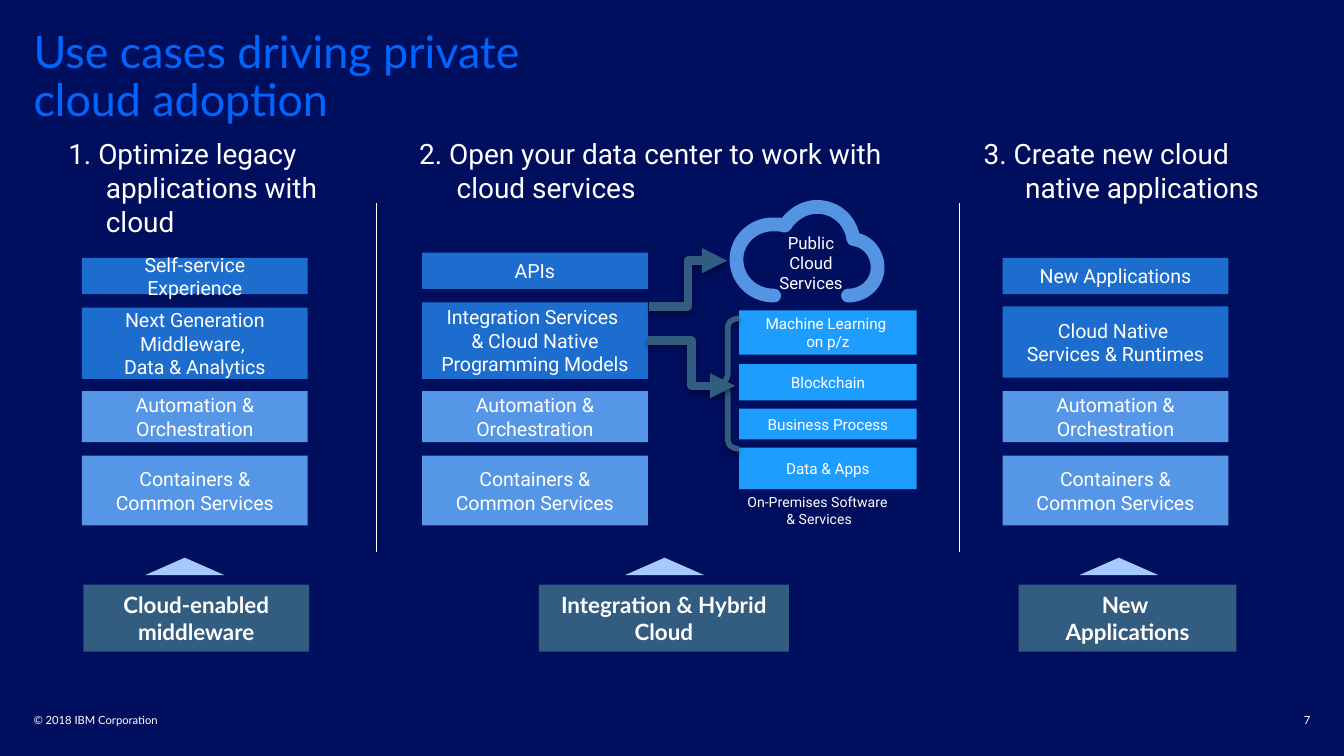
"""Build a slide on three use cases that drive private cloud adoption."""
from lxml import etree
from pptx import Presentation
from pptx.dml.color import RGBColor
from pptx.enum.shapes import MSO_CONNECTOR, MSO_SHAPE
from pptx.enum.text import MSO_ANCHOR, PP_ALIGN
from pptx.oxml import parse_xml
from pptx.oxml.ns import nsdecls, qn
from pptx.util import Inches, Pt

RECT, TRIANGLE = MSO_SHAPE.RECTANGLE, MSO_SHAPE.ISOSCELES_TRIANGLE
CLOUD, BRACE = MSO_SHAPE.CLOUD, MSO_SHAPE.LEFT_BRACE
STRAIGHT, ELBOW = MSO_CONNECTOR.STRAIGHT, MSO_CONNECTOR.ELBOW
TOP, MIDDLE = MSO_ANCHOR.TOP, MSO_ANCHOR.MIDDLE
LEFT, CENTER, RIGHT = PP_ALIGN.LEFT, PP_ALIGN.CENTER, PP_ALIGN.RIGHT

NAVY = RGBColor(0x00, 0x0E, 0x5E)
TITLE_BLUE = RGBColor(0x00, 0x64, 0xFF)
WHITE = RGBColor(0xFF, 0xFF, 0xFF)
MID_BLUE = RGBColor(0x1D, 0x6D, 0xCE)
SOFT_BLUE = RGBColor(0x55, 0x96, 0xE6)
BRIGHT_BLUE = RGBColor(0x1D, 0x9E, 0xFF)
PALE_BLUE = RGBColor(0xA5, 0xCA, 0xFF)
CLOUD_BLUE = RGBColor(0x54, 0x94, 0xE3)
SLATE = RGBColor(0x32, 0x5C, 0x80)

TITLE = "Use cases driving private cloud adoption"
HEADINGS = [
    ("1. Optimize legacy applications with cloud", (0.41, 0.97, 2.23, 0.86), 0.28),
    ("2. Open your data center to work with cloud services", (3.02, 0.97, 3.77, 0.61), 0.28),
    ("3. Create new cloud native applications", (7.22, 0.97, 2.45, 0.61), 0.31),
]
CARD_W = 1.68
STACKS = [
    (0.61, [("Self-service Experience", 1.92, 0.27),
            ("Next Generation Middleware, \vData & Analytics", 2.29, 0.53)]),
    (3.14, [("APIs", 1.88, 0.27),
            ("Integration Services \v& Cloud Native Programming Models", 2.25, 0.57)]),
    (7.46, [("New Applications", 1.92, 0.27),
            ("Cloud Native \vServices & Runtimes", 2.28, 0.53)]),
]
SHARED_CARDS = [("Automation & Orchestration", 2.91, 0.38),
                ("Containers &\nCommon Services", 3.39, 0.52)]
SERVICES = [("Machine Learning \von p/z", 2.31, 0.33), ("Blockchain", 2.71, 0.27),
            ("Business Process", 3.04, 0.23), ("Data & Apps", 3.33, 0.31)]
OUTCOMES = [("Cloud-enabled middleware", 0.62, 1.68, 1.08),
            ("Integration & Hybrid Cloud", 4.01, 1.86, 4.65),
            ("New \nApplications", 7.58, 1.62, 8.03)]
DIVIDERS = [2.8, 7.14]
CLOUD_START = (5.76, 2.2)
CLOUD_CURVES = [
    [(5.6, 2.2), (5.48, 2.08), (5.48, 1.93)], [(5.48, 1.79), (5.6, 1.67), (5.75, 1.67)],
    [(5.78, 1.67), (5.81, 1.67), (5.84, 1.68)], [(5.89, 1.6), (5.98, 1.54), (6.08, 1.54)],
    [(6.22, 1.54), (6.33, 1.64), (6.35, 1.78)], [(6.45, 1.79), (6.53, 1.88), (6.53, 1.99)],
    [(6.53, 2.11), (6.43, 2.2), (6.31, 2.2)],
]
STEPS = 16


def write(sp, text, size, font="Roboto", color=WHITE, bold=False, align=CENTER,
          anchor=MIDDLE, inset=True, hang=0, spacing=None):
    tf = sp.text_frame
    tf.word_wrap = True
    tf.vertical_anchor = anchor
    if not inset:
        tf.margin_left = tf.margin_right = tf.margin_top = tf.margin_bottom = 0
    for i, paragraph in enumerate(text.split("\n")):
        p = tf.paragraphs[0] if i == 0 else tf.add_paragraph()
        p.alignment = align
        p.line_spacing = spacing
        if hang:
            pPr = p._p.get_or_add_pPr()
            pPr.set("marL", str(Inches(hang)))
            pPr.set("indent", str(-Inches(hang)))
        for j, line in enumerate(paragraph.split("\v")):
            if j:
                p.add_line_break()
            r = p.add_run()
            r.text = line
            r.font.size, r.font.name, r.font.bold = Pt(size), font, bold
            r.font.color.rgb = color


def add_shape(shapes, kind, box, fill=None):
    sp = shapes.add_shape(kind, *map(Inches, box))
    sp.shadow.inherit = False
    if fill is None:
        sp.fill.background()
    else:
        sp.fill.solid()
        sp.fill.fore_color.rgb = fill
    sp.line.fill.background()
    return sp


def add_text(shapes, box, text, size, **style):
    write(shapes.add_textbox(*map(Inches, box)), text, size, **style)


def set_line(sp, color, width):
    sp.line.color.rgb = color
    sp.line.width = Pt(width)


def set_effects(sp, shadow):
    spPr = sp._element.spPr
    for old in spPr.findall(qn("a:effectLst")):
        spPr.remove(old)
    inner = ('<a:outerShdw blurRad="%d" dist="%d" dir="5400000" rotWithShape="0">'
             '<a:srgbClr val="000000"><a:alpha val="38000"/></a:srgbClr></a:outerShdw>'
             % (Pt(3.1), Pt(1.6))) if shadow else ""
    spPr.append(parse_xml("<a:effectLst %s>%s</a:effectLst>" % (nsdecls("a"), inner)))


def add_line(shapes, kind, ends, color, width, arrow=False):
    cx = shapes.add_connector(kind, *map(Inches, ends))
    set_line(cx, color, width)
    if arrow:
        etree.SubElement(cx.line._get_or_add_ln(), qn("a:tailEnd"), type="triangle")
    set_effects(cx, arrow)
    return cx


def cloud_points():
    start = CLOUD_START
    for c1, c2, end in CLOUD_CURVES:
        for step in range(1, STEPS + 1):
            t = step / STEPS
            u = 1 - t
            yield tuple(Inches(u**3 * a + 3 * u * u * t * b + 3 * u * t * t * c + t**3 * d)
                        for a, b, c, d in zip(start, c1, c2, end))
        start = end


def add_cloud(shapes):
    builder = shapes.build_freeform(*map(Inches, CLOUD_START))
    builder.add_line_segments(list(cloud_points()), close=False)
    sp = builder.convert_to_shape()
    sp.shadow.inherit = False
    sp.fill.background()
    set_line(sp, CLOUD_BLUE, 7.38)
    sp.line._get_or_add_ln().set("cap", "rnd")
    label = add_shape(shapes, CLOUD, (5.5, 1.66, 1.15, 0.62))
    write(label, "Public Cloud Services", 9)


def main():
    prs = Presentation()
    prs.slide_width = Inches(10)
    prs.slide_height = prs.slide_width * 9 // 16
    s = prs.slides.add_slide(prs.slide_layouts[6])
    s.background.fill.solid()
    s.background.fill.fore_color.rgb = NAVY
    shapes = s.shapes

    add_text(shapes, (0.25, 0.22, 4.5, 0.94), TITLE, 24, font="Lato", color=TITLE_BLUE,
             align=LEFT, anchor=TOP, inset=False, spacing=0.9)
    for text, box, hang in HEADINGS:
        add_text(shapes, box, text, 15, align=LEFT, anchor=TOP, hang=hang)

    cards = {}
    for x, own_cards in STACKS:
        for group, fill in ((own_cards, MID_BLUE), (SHARED_CARDS, SOFT_BLUE)):
            for text, y, h in group:
                cards[x, text] = add_shape(shapes, RECT, (x, y, CARD_W, h), fill)
                write(cards[x, text], text, 10.5)

    for text, y, h in SERVICES:
        write(add_shape(shapes, RECT, (5.5, y, 1.32, h), BRIGHT_BLUE), text, 8.2)
    add_text(shapes, (5.35, 3.62, 1.49, 0.35), "On-Premises Software \v& Services", 7.5)

    brace = add_shape(shapes, BRACE, (5.33, 2.37, 0.17, 0.97))
    brace.adjustments[0] = 0.36
    set_line(brace, SLATE, 3)
    set_effects(brace, True)

    add_line(shapes, ELBOW, (4.83, 2.28, 5.41, 1.94), SLATE, 4.5, arrow=True)
    to_services = add_line(shapes, ELBOW, (4.82, 2.54, 5.47, 2.87), SLATE, 4.5, arrow=True)
    middle_x, middle_cards = STACKS[1]
    to_services.begin_connect(cards[middle_x, middle_cards[1][0]], 3)
    add_cloud(shapes)

    for text, x, w, arrow_x in OUTCOMES:
        sp = add_shape(shapes, RECT, (x, 4.35, w, 0.5), SLATE)
        write(sp, text, 12, font="Lato", bold=True, anchor=TOP)
        add_shape(shapes, TRIANGLE, (arrow_x, 4.15, 0.59, 0.13), PALE_BLUE)
    for x in DIVIDERS:
        add_line(shapes, STRAIGHT, (x, 1.51, x, 4.11), WHITE, 0.75)

    add_text(shapes, (0.25, 5.28, 7, 0.15), "© 2018 IBM Corporation", 6, font="Lato",
             align=LEFT, anchor=MIDDLE, inset=False)
    add_text(shapes, (7.5, 5.28, 2.25, 0.15), "7", 6, font="Lato", align=RIGHT, inset=False)
    prs.save("out.pptx")


if __name__ == "__main__":
    main()
